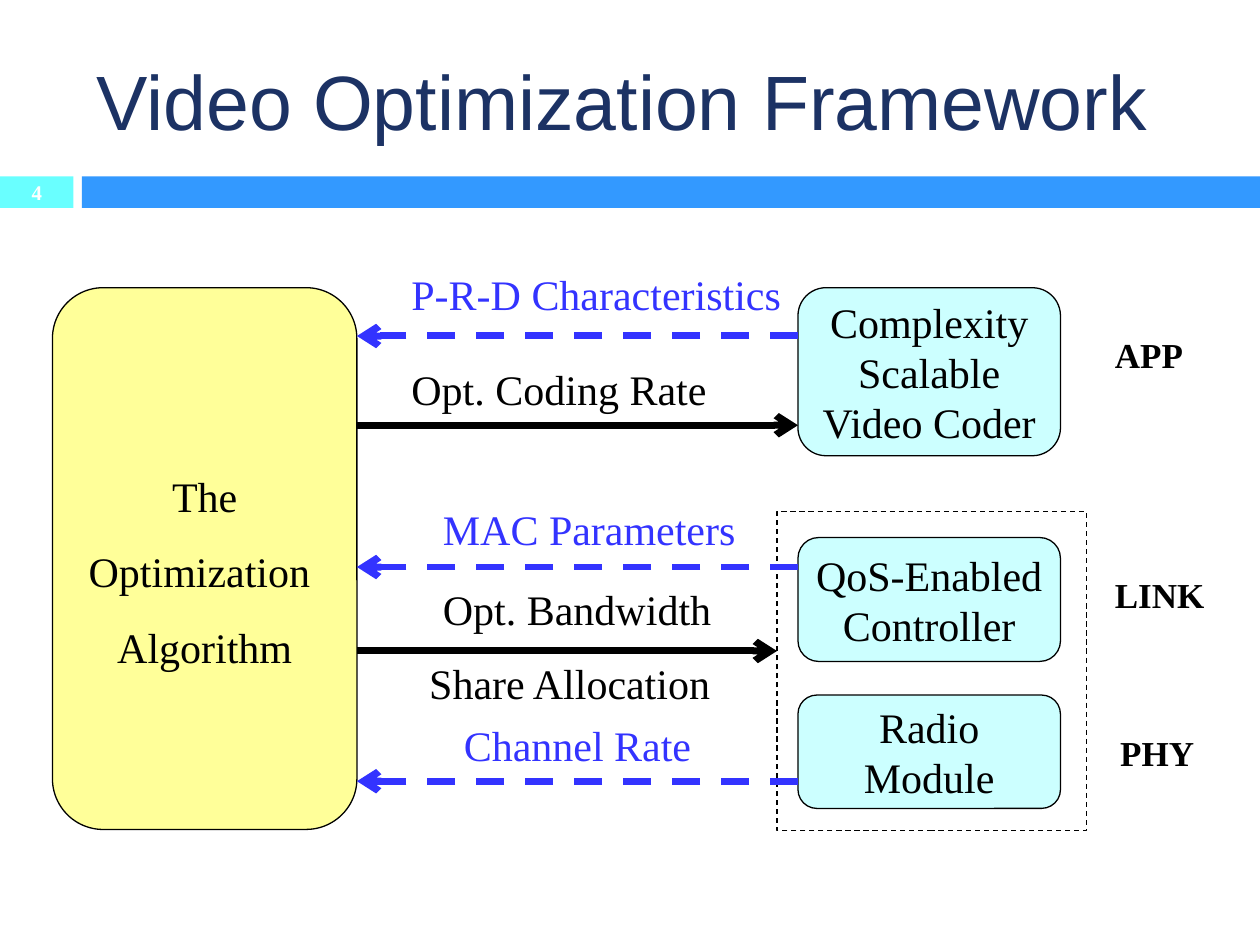
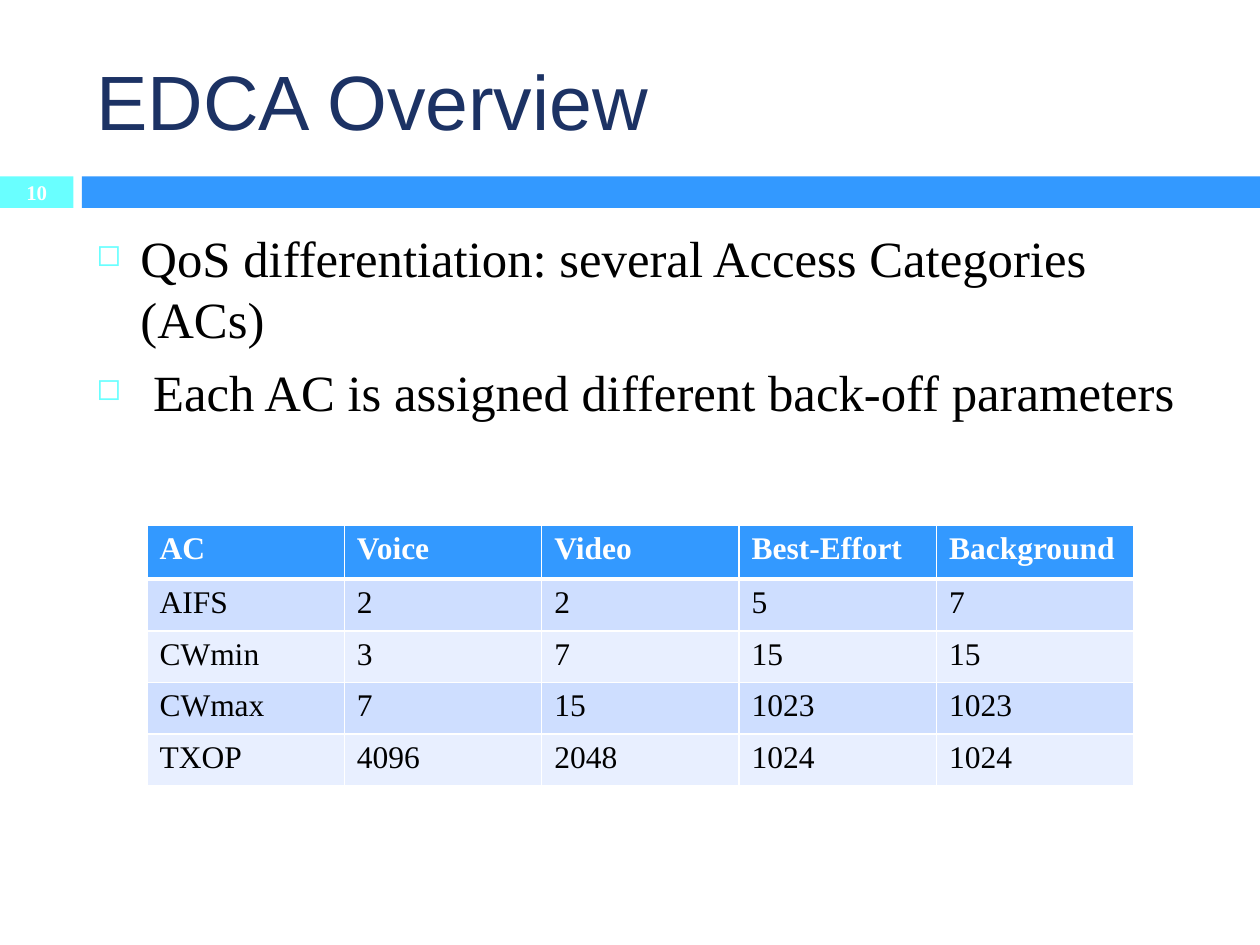
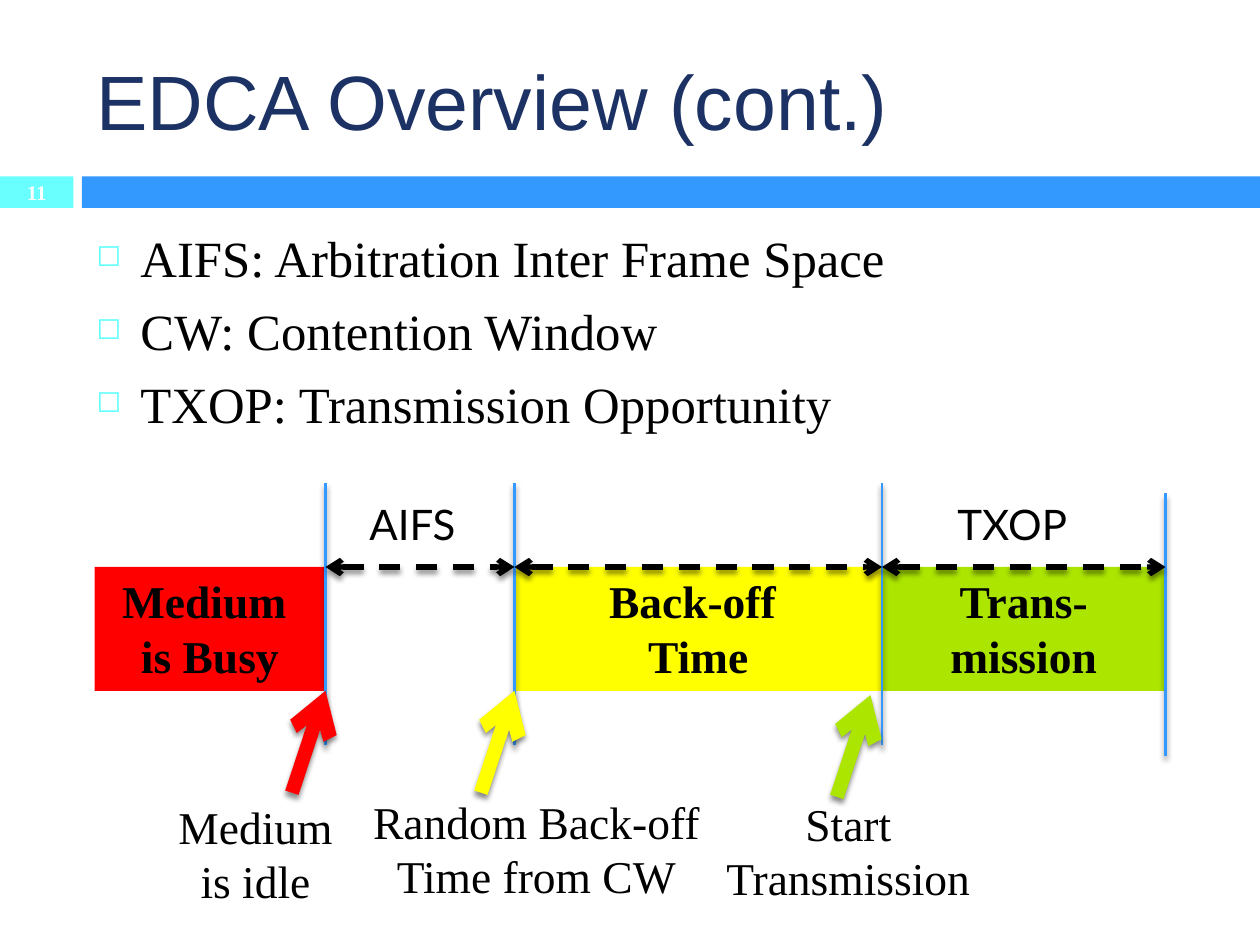
from dataclasses import dataclass

from lxml import etree
from pptx import Presentation
from pptx.dml.color import RGBColor
from pptx.enum.dml import MSO_LINE
from pptx.enum.shapes import MSO_CONNECTOR, MSO_SHAPE
from pptx.enum.text import MSO_ANCHOR, MSO_AUTO_SIZE, PP_ALIGN
from pptx.oxml.ns import qn
from pptx.util import Inches, Pt

RECT, ROUND = MSO_SHAPE.RECTANGLE, MSO_SHAPE.ROUNDED_RECTANGLE
STRAIGHT, DASH = MSO_CONNECTOR.STRAIGHT, MSO_LINE.DASH
LEFT, CENTER = PP_ALIGN.LEFT, PP_ALIGN.CENTER
TOP, MIDDLE = MSO_ANCHOR.TOP, MSO_ANCHOR.MIDDLE
FIT = MSO_AUTO_SIZE.SHAPE_TO_FIT_TEXT


@dataclass(frozen=True)
class Theme:
    white: str = "FFFFFF"
    black: str = "000000"
    navy: str = "1C3264"
    blue: str = "3399FF"
    aqua: str = "69FFFF"
    feedback: str = "3333FF"
    algorithm: str = "FFFF99"
    module: str = "CCFFFF"
    row_dark: str = "CEDEFF"
    row_light: str = "E8EFFF"
    red: str = "FF0000"
    yellow: str = "FFFF00"
    green: str = "ACE500"
    serif: str = "Times New Roman"
    sans: str = "Arial"
    label_font: str = "Lato"
    title: float = 44
    body: float = 29
    phase: float = 26
    diagram: float = 24
    layer: float = 20
    cell: float = 18
    number: float = 11.9


T = Theme()

# All positions are in grid units: the slide is 120 columns by 90 rows.
COLS, ROWS = 120, 90
UNIT = Inches(10) / COLS

# ---- Content: framework diagram ----
ALGORITHM = ["The", "Optimization ", "Algorithm"]
ALGORITHM_AT = (5, 27.4, 29, 51.6)
MODULE_X, MODULE_W = 76, 25
MODULES = [  # lines, top, height
    (["Complexity", "Scalable", "Video Coder"], 27.4, 16),
    (["QoS-Enabled", "Controller"], 51.2, 11.8),
    (["Radio", "Module"], 66.2, 10.8),
]
LOWER_LAYERS = (74, 48.7, 29.5, 30.4)
LAYERS = [("APP", 105, 31.2, 9.1), ("LINK", 105, 54, 11), ("PHY", 105.5, 69.1, 9.5)]
FEEDBACK_ROWS = [32, 54, 74.4]
DECISIONS = [(76, 40.5), (74, 62)]  # arrow end column, row
SIGNALS = [  # text, left, top, width, colour
    ("P-R-D Characteristics", 38, 25, 38, T.feedback),
    ("Opt. Coding Rate", 38, 34, 30.8, T.black),
    ("MAC Parameters", 41, 47.4, 30.6, T.feedback),
    ("Opt. Bandwidth", 41, 55, 28.2, T.black),
    ("Share Allocation", 39.7, 62, 29.5, T.black),
    ("Channel Rate", 43, 67.9, 24.2, T.feedback),
]

# ---- Content: EDCA ----
OVERVIEW = ["QoS differentiation: several Access Categories (ACs)",
            " Each AC is assigned different back-off parameters"]
PARAMETERS = [
    ["AC", "Voice", "Video", "Best-Effort", "Background"],
    ["AIFS", "2", "2", "5", "7"],
    ["CWmin", "3", "7", "15", "15"],
    ["CWmax", "7", "15", "1023", "1023"],
    ["TXOP", "4096", "2048", "1024", "1024"],
]
TERMS = ["AIFS: Arbitration Inter Frame Space",
         "CW: Contention Window",
         "TXOP: Transmission Opportunity"]
PHASE_Y, PHASE_H = 54, 11.8
PHASES = [  # lines, start, end, colour
    (["Medium ", "is Busy"], 9, 31, T.red),
    (["Back-off ", "Time"], 49, 84, T.yellow),
    (["Trans-mission"], 84, 111, T.green),
]
MARKS = [(31, 46), (49, 46), (84, 46), (111, 47)]  # column, top
MARK_H = 25
INTERVALS = [("AIFS", 34, 11.8), ("TXOP", 90, 13.6)]
EVENTS = [  # lines, left, top, width, arrow tip, colour
    (["Random Back-off ", "Time from CW"], 34, 75, 34.2, (49, 65.8), T.yellow),
    (["Start", "Transmission"], 67.9, 75.2, 25.8, (82.9, 66.2), T.green),
    (["Medium ", "is idle"], 15.7, 75.5, 17.3, (31, 65.8), T.red),
]
EVENT_DX, EVENT_DY = 3.2, 9.7


# ---- Helpers ----
def grid(*values):
    return [round(v * UNIT) for v in values]


def rgb(color):
    return RGBColor.from_string(color)


def child(parent, tag, **attrs):
    return etree.SubElement(parent, qn(tag), {k: str(v) for k, v in attrs.items()})


def style(font, size, color=T.black, name=T.serif, bold=False):
    font.size, font.name, font.bold = Pt(size), name, bold
    font.color.rgb = rgb(color)


def write(sp, lines, size, color=T.black, name=T.serif, bold=False,
          align=LEFT, anchor=TOP, wrap=True, spacing=None):
    tf = sp.text_frame
    tf.word_wrap, tf.vertical_anchor = wrap, anchor
    tf.text = "\n".join(lines)
    for p in tf.paragraphs:
        p.alignment = align
        if spacing:
            p.line_spacing = spacing
        for r in p.runs:
            style(r.font, size, color, name, bold)
    return tf


def add_text(s, at, lines, size, **look):
    sp = s.shapes.add_textbox(*grid(*at))
    return write(sp, lines, size, **look)


def add_label(s, at, lines, size, **look):
    add_text(s, at, lines, size, wrap=False, **look).auto_size = FIT


def add_box(s, kind, at, fill=None, outline=None):
    sp = s.shapes.add_shape(kind, *grid(*at))
    sp.shadow.inherit = False
    if fill:
        sp.fill.solid()
        sp.fill.fore_color.rgb = rgb(fill)
    else:
        sp.fill.background()
    if outline:
        sp.line.color.rgb = rgb(outline)
        sp.line.width = Pt(0.75)
    else:
        sp.line.fill.background()
    return sp


def add_line(s, start, end, color, width, dash=False, ends=(), shadow=False):
    ln = s.shapes.add_connector(STRAIGHT, *grid(*start, *end))
    ln.line.color.rgb = rgb(color)
    ln.line.width = Pt(width)
    if dash:
        ln.line.dash_style = DASH
    sp_pr = ln._element.spPr
    for tag in ends:
        child(sp_pr.find(qn("a:ln")), tag, type="arrow")
    effects = child(sp_pr, "a:effectLst")
    if shadow:
        outer = child(effects, "a:outerShdw", blurRad=Pt(3), dist=Pt(2.4),
                      dir=90 * 60000, rotWithShape=0)
        child(child(outer, "a:srgbClr", val=T.black), "a:alpha", val=45000)


def add_bullets(s, items):
    tf = add_text(s, (8, 21, 107, 59), items, T.body)
    for i, p in enumerate(tf.paragraphs):
        if i:
            p.space_before = Pt(7)
        p_pr = p._p.get_or_add_pPr()
        p_pr.set("marL", str(Inches(0.35)))
        p_pr.set("indent", str(-Inches(0.35)))
        child(child(p_pr, "a:buClr"), "a:srgbClr", val=T.aqua)
        child(p_pr, "a:buSzPct", val=60000)
        child(p_pr, "a:buChar", char="◻")


def add_slide(prs, title, number):
    s = prs.slides.add_slide(prs.slide_layouts[6])
    add_box(s, RECT, (0, 16.8, 7, 3), T.aqua)
    add_box(s, RECT, (7.8, 16.8, COLS - 7.8, 3), T.blue)
    add_text(s, (8, 3, 107, 13), [title], T.title, color=T.navy, name=T.sans,
             anchor=MIDDLE)
    add_text(s, (0, 16.7, 7, 3.2), [str(number)], T.number, color=T.white,
             bold=True, align=CENTER, anchor=MIDDLE)
    return s


# ---- Slides ----
def framework_slide(prs):
    s = add_slide(prs, "Video Optimization Framework", 4)
    centred = dict(align=CENTER, anchor=MIDDLE, wrap=False)

    # Algorithm and the modules it controls
    sp = add_box(s, ROUND, ALGORITHM_AT, T.algorithm, T.black)
    tf = write(sp, ALGORITHM, T.diagram, spacing=1.5, **centred)
    tf.margin_left = tf.margin_right = tf.margin_top = tf.margin_bottom = 0
    for lines, top, height in MODULES:
        sp = add_box(s, ROUND, (MODULE_X, top, MODULE_W, height), T.module, T.black)
        write(sp, lines, T.diagram, **centred)
    add_box(s, RECT, LOWER_LAYERS, outline=T.black).line.dash_style = DASH
    for name, left, top, width in LAYERS:
        add_label(s, (left, top, width, 5.2), [name], T.layer, bold=True)

    # Signals between them
    edge = ALGORITHM_AT[0] + ALGORITHM_AT[2]
    for y in FEEDBACK_ROWS:
        add_line(s, (MODULE_X, y), (edge, y), T.feedback, 4, dash=True,
                 ends=["a:tailEnd"])
    for x, y in DECISIONS:
        add_line(s, (edge, y), (x, y), T.black, 4, ends=["a:tailEnd"])
    for text, left, top, width, color in SIGNALS:
        add_label(s, (left, top, width, 6), [text], T.diagram, color=color)


def add_borders(cell, top, bottom):
    tc_pr = cell._tc.get_or_add_tcPr()
    for tag, width in (("a:lnL", 1), ("a:lnR", 1), ("a:lnT", top), ("a:lnB", bottom)):
        ln = child(tc_pr, tag, w=Pt(width))
        child(child(ln, "a:solidFill"), "a:srgbClr", val=T.white)


def overview_slide(prs):
    s = add_slide(prs, "EDCA Overview", 10)
    add_bullets(s, OVERVIEW)

    # Back-off parameters per access category
    n_rows, n_cols = len(PARAMETERS), len(PARAMETERS[0])
    table = s.shapes.add_table(n_rows, n_cols, *grid(14, 50, 94, 25)).table
    for i, values in enumerate(PARAMETERS):
        header = i == 0
        table.rows[i].height = Inches(0.43 if header else 0.41)
        fill = T.blue if header else (T.row_dark if i % 2 else T.row_light)
        for j, value in enumerate(values):
            cell = table.cell(i, j)
            add_borders(cell, 3 if i == 1 else 1, 3 if header else 1)
            cell.fill.solid()
            cell.fill.fore_color.rgb = rgb(fill)
            cell.text = value
            style(cell.text_frame.paragraphs[0].runs[0].font, T.cell,
                  T.white if header else T.black, bold=header)


def timeline_slide(prs):
    s = add_slide(prs, "EDCA Overview (cont.)", 11)
    add_bullets(s, TERMS)

    # Phases of medium access
    for lines, start, end, color in PHASES:
        sp = add_box(s, RECT, (start, PHASE_Y, end - start, PHASE_H), color)
        write(sp, lines, T.phase, bold=True, align=CENTER)
    for text, left, width in INTERVALS:
        add_label(s, (left, 46.9, width, 6), [text], T.diagram, name=T.label_font)

    # Time marks and the spans between them
    for x, top in MARKS:
        add_line(s, (x, top + MARK_H), (x, top), T.blue, 1.5, shadow=True)
    for (x1, _), (x2, _) in zip(MARKS, MARKS[1:]):
        add_line(s, (x1, PHASE_Y), (x2, PHASE_Y), T.black, 3, dash=True,
                 ends=["a:headEnd", "a:tailEnd"], shadow=True)

    # Events
    for lines, left, top, width, (x, y), color in EVENTS:
        add_label(s, (left, top, width, 11.8), lines, T.phase, align=CENTER)
        add_line(s, (x - EVENT_DX, y + EVENT_DY), (x, y), color, 8,
                 ends=["a:tailEnd"], shadow=True)


def main():
    prs = Presentation()
    prs.slide_width, prs.slide_height = grid(COLS, ROWS)
    framework_slide(prs)
    overview_slide(prs)
    timeline_slide(prs)
    prs.save("out.pptx")


if __name__ == "__main__":
    main()
